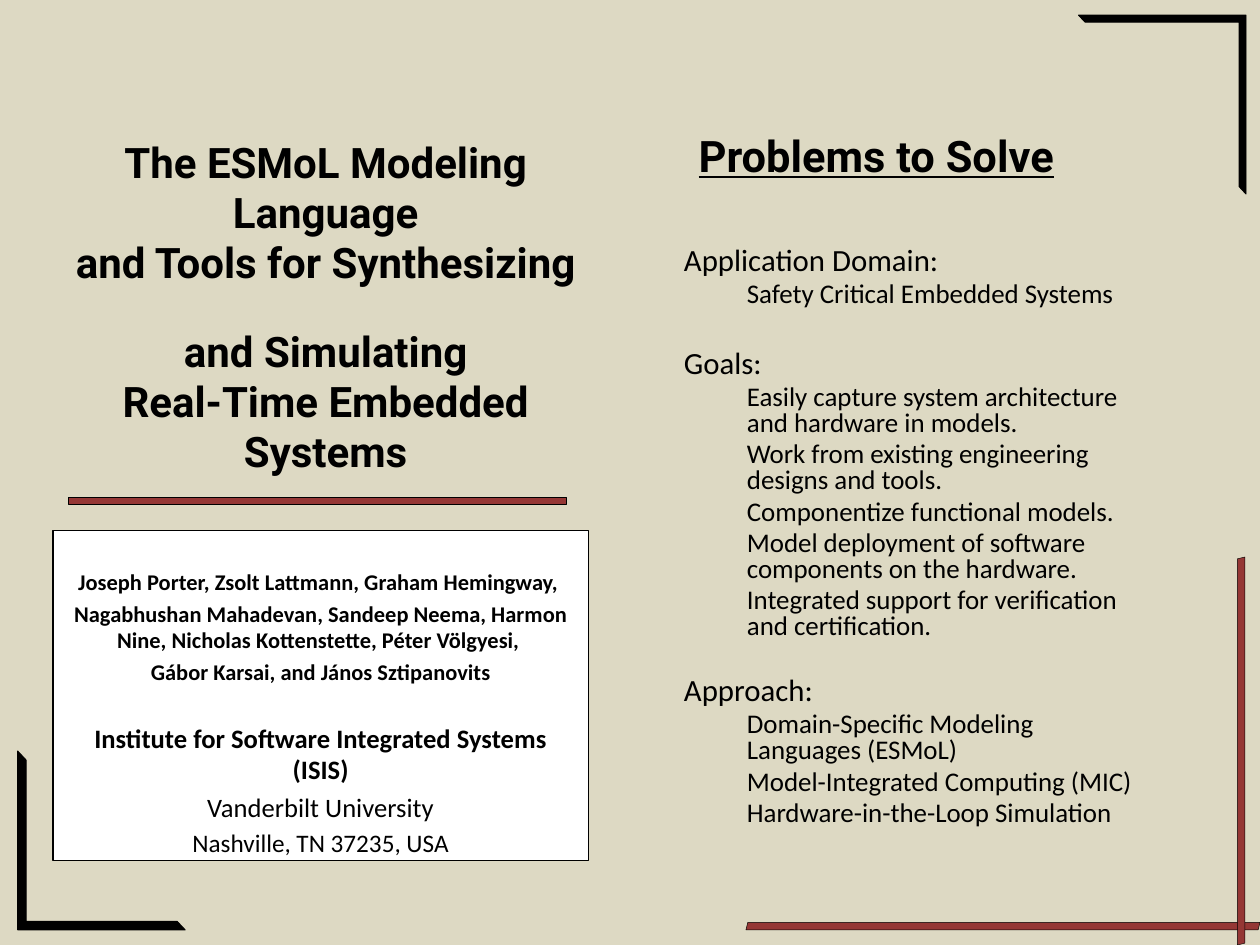
from pptx import Presentation
from pptx.dml.color import RGBColor
from pptx.enum.shapes import MSO_SHAPE
from pptx.enum.text import MSO_ANCHOR, PP_ALIGN
from pptx.util import Inches, Pt

SAND = RGBColor(0xDD, 0xD9, 0xC3)
MAROON = RGBColor(0x95, 0x37, 0x35)
BLACK = RGBColor(0, 0, 0)
WHITE = RGBColor(0xFF, 0xFF, 0xFF)

TITLE_LINES = [
    "The ESMoL Modeling Language",
    "and Tools for Synthesizing ",
    "and Simulating",
    "Real-Time Embedded Systems",
]

# Text, size, bold, space before
AUTHOR_LINES = [
    ("Joseph Porter, Zsolt Lattmann, Graham Hemingway, ", 12.8, True, 0),
    ("Nagabhushan Mahadevan, Sandeep Neema, Harmon Nine, "
     "Nicholas Kottenstette, Péter Völgyesi, ", 12.8, True, 2.56),
    ("Gábor Karsai, and János Sztipanovits", 12.8, True, 2.56),
    ("Institute for Software Integrated Systems (ISIS)", 15.2, True, 21),
    ("Vanderbilt University", 15.2, False, 3),
    ("Nashville, TN 37235, USA", 14.4, False, 2.9),
]

# Heading, space before, points below it
SECTIONS = [
    ("Application Domain:", 0, ["Safety Critical Embedded Systems"]),
    ("Goals:", 24, [
        "Easily capture system architecture and hardware in models.",
        "Work from existing engineering designs and tools.",
        "Componentize functional models.",
        "Model deployment of software components on the hardware.",
        "Integrated support for verification and certification.",
    ]),
    ("Approach:", 21.5, [
        "Domain-Specific Modeling Languages (ESMoL)",
        "Model-Integrated Computing (MIC)",
        "Hardware-in-the-Loop Simulation",
    ]),
]


def add_box(slide, kind, box, fill, line_width, rotation=0, flip=None):
    shape = slide.shapes.add_shape(kind, *map(Inches, box))
    shape.shadow.inherit = False
    shape.fill.solid()
    shape.fill.fore_color.rgb = fill
    shape.line.color.rgb = BLACK
    shape.line.width = Pt(line_width)
    shape.rotation = rotation
    if flip:
        shape._element.spPr.xfrm.set(flip, "1")
    return shape


def add_corner(slide, box, thickness, rotation):
    corner = add_box(slide, MSO_SHAPE.HALF_FRAME, box, BLACK, 0.5,
                     rotation, "flipH")
    for index in range(2):
        corner.adjustments[index] = thickness


def add_text_frame(slide, box, anchor=MSO_ANCHOR.TOP):
    frame = slide.shapes.add_textbox(*map(Inches, box)).text_frame
    frame.word_wrap = True
    frame.vertical_anchor = anchor
    return frame


def add_paragraph(frame, first, align=PP_ALIGN.LEFT, before=0, spacing=1.0):
    paragraph = frame.paragraphs[0] if first else frame.add_paragraph()
    paragraph.alignment = align
    paragraph.space_before = Pt(before)
    paragraph.line_spacing = spacing
    return paragraph


def add_run(paragraph, text, size, font="Calibri", bold=False, underline=None):
    run = paragraph.add_run()
    run.text = text
    run.font.name = font
    run.font.size = Pt(size)
    run.font.bold = bold
    run.font.underline = underline
    run.font.color.rgb = BLACK


def add_decoration(slide):
    add_corner(slide, (8.56, 0.12, 1.33, 1.42), 0.042, 0)
    add_corner(slide, (0.14, 5.96, 1.33, 1.42), 0.051, 180)
    bar = MSO_SHAPE.PARALLELOGRAM
    add_box(slide, bar, (5.92, 7.32, 4.08, 0.06), MAROON, 0.25, 180)
    add_box(slide, bar, (8.31, 5.93, 3.08, 0.06), MAROON, 0.25, 90, "flipV")


def add_title(slide):
    frame = add_text_frame(slide, (0.5, 0.92, 4.17, 3.02), MSO_ANCHOR.MIDDLE)
    paragraph = add_paragraph(frame, True, PP_ALIGN.CENTER)
    for index, line in enumerate(TITLE_LINES):
        if index:
            paragraph.add_line_break()
        add_run(paragraph, line, 24, "Roboto", True)


def add_authors(slide):
    panel = add_box(slide, MSO_SHAPE.RECTANGLE, (0.42, 4.21, 4.25, 2.62),
                    WHITE, 0.75)
    frame = panel.text_frame
    frame.word_wrap = True
    frame.vertical_anchor = MSO_ANCHOR.TOP
    frame.margin_top = Inches(0.3)
    for index, (text, size, bold, before) in enumerate(AUTHOR_LINES):
        paragraph = add_paragraph(frame, index == 0, PP_ALIGN.CENTER, before)
        add_run(paragraph, text, size, bold=bold)


def add_problems(slide):
    heading = add_text_frame(slide, (5.33, 0.87, 3.25, 0.8), MSO_ANCHOR.MIDDLE)
    paragraph = add_paragraph(heading, True, PP_ALIGN.CENTER, spacing=0.8)
    add_run(paragraph, "Problems to Solve", 24.8, "Roboto", True, True)

    frame = add_text_frame(slide, (5.33, 1.92, 3.83, 4.95))
    for index, (name, before, points) in enumerate(SECTIONS):
        paragraph = add_paragraph(frame, index == 0, before=before, spacing=0.8)
        add_run(paragraph, name, 17.6)
        for point in points:
            paragraph = add_paragraph(frame, False, before=3.08, spacing=0.8)
            paragraph.level = 1
            properties = paragraph._p.get_or_add_pPr()
            properties.set("marL", str(Inches(0.5)))
            properties.set("indent", "0")
            add_run(paragraph, point, 15.4)


def main():
    presentation = Presentation()
    presentation.slide_width = Inches(10)
    presentation.slide_height = Inches(7.5)
    slide = presentation.slides.add_slide(presentation.slide_layouts[6])
    slide.background.fill.solid()
    slide.background.fill.fore_color.rgb = SAND

    # Corner frames and edge bars
    add_decoration(slide)
    # Left half: title, rule and authors
    add_title(slide)
    add_authors(slide)
    add_box(slide, MSO_SHAPE.RECTANGLE, (0.54, 3.95, 3.96, 0.05), MAROON, 0.5)
    # Right half: problem list
    add_problems(slide)

    presentation.save("out.pptx")


main()
